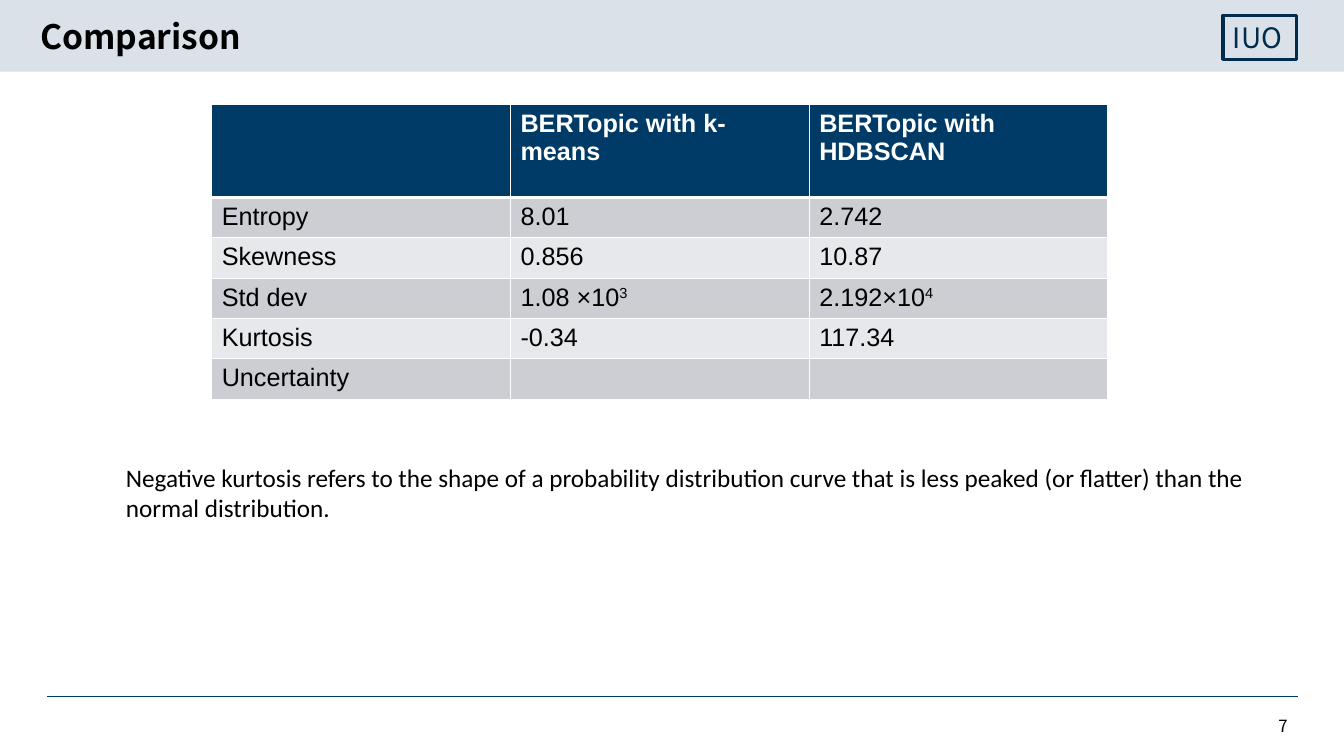
from lxml import etree
from pptx import Presentation
from pptx.dml.color import RGBColor
from pptx.enum.shapes import MSO_CONNECTOR, MSO_SHAPE
from pptx.enum.text import MSO_ANCHOR, PP_ALIGN
from pptx.oxml.ns import qn
from pptx.util import Inches, Pt

STRAIGHT, RECTANGLE = MSO_CONNECTOR.STRAIGHT, MSO_SHAPE.RECTANGLE
TOP, MIDDLE = MSO_ANCHOR.TOP, MSO_ANCHOR.MIDDLE
LEFT, RIGHT = PP_ALIGN.LEFT, PP_ALIGN.RIGHT

WIDTH, HEIGHT = Inches(13.33), Inches(7.5)
TITLE_ONLY = 5

BLACK = RGBColor(0x00, 0x00, 0x00)
WHITE = RGBColor(0xFF, 0xFF, 0xFF)
NAVY = RGBColor(0x00, 0x3B, 0x68)
BADGE_NAVY = RGBColor(0x00, 0x2C, 0x4E)
PALE_BLUE = RGBColor(0xDA, 0xE1, 0xE8)
ROW_FILLS = RGBColor(0xCC, 0xCE, 0xD4), RGBColor(0xE7, 0xE8, 0xEB)

HEADING_FONT, TABLE_FONT, NOTE_FONT = "Noto Sans CJK JP", "Arial", "Calibri"

HEADER = ["", "BERTopic with k-means", "BERTopic with HDBSCAN"]
MEASURES = [
    ["Entropy", "8.01", "2.742"],
    ["Skewness", "0.856", "10.87"],
    ["Std dev", ("1.08 ×10", "3"), ("2.192×10", "4")],
    ["Kurtosis", "-0.34", "117.34"],
    ["Uncertainty", "", ""],
]
NOTE = (
    "Negative kurtosis refers to the shape of a probability distribution curve "
    "that is less peaked (or flatter) than the normal distribution."
)


def across(percent):
    return round(WIDTH * percent / 100)


def down(percent):
    return round(HEIGHT * percent / 100)


def area(left, top, width, height):
    return across(left), down(top), across(width), down(height)


def apply_format(target, values):
    for name, value in values.items():
        setattr(target, name, value)


def add_run(paragraph, text, font, size, color, bold=False):
    run = paragraph.add_run()
    run.text = text
    apply_format(run.font, {"name": font, "size": Pt(size), "bold": bold})
    run.font.color.rgb = color
    return run


def write(frame, text, font, size, color, bold=False, align=LEFT, **frame_format):
    apply_format(frame, {"word_wrap": True, **frame_format})
    paragraph = frame.paragraphs[0]
    paragraph.alignment = align
    add_run(paragraph, text, font, size, color, bold)
    return paragraph


def add_box(slide, place, fill=None, outline=None):
    box = slide.shapes.add_shape(RECTANGLE, *place)
    box.shadow.inherit = False
    if fill is None:
        box.fill.background()
    else:
        box.fill.solid()
        box.fill.fore_color.rgb = fill
    if outline is None:
        box.line.fill.background()
    else:
        box.line.color.rgb = outline
        box.line.width = Pt(2.25)
    return box


def add_rule(slide, left, right, height):
    rule = slide.shapes.add_connector(
        STRAIGHT, across(left), down(height), across(right), down(height))
    rule.line.color.rgb = NAVY
    rule.line.width = Pt(1)
    etree.SubElement(rule._element.spPr, qn("a:effectLst"))


def add_text(slide, place, *content, **options):
    write(slide.shapes.add_textbox(*place).text_frame, *content, **options)


def add_title(slide, text):
    title = slide.shapes.title
    slide.shapes._spTree.append(title._element)
    left, top, width, height = area(2.25, 2.67, 89.8, 4.8)
    apply_format(title, {"left": left, "top": top, "width": width, "height": height})
    paragraph = write(
        title.text_frame, text, HEADING_FONT, 24, BLACK, bold=True,
        vertical_anchor=MIDDLE, margin_top=0, margin_bottom=0)
    paragraph.line_spacing = 0.9


def border_cell(cell, bottom=1, top=1):
    properties = cell._tc.get_or_add_tcPr()
    for side, points in {"L": 1, "R": 1, "T": top, "B": bottom}.items():
        edge = etree.SubElement(properties, qn(f"a:ln{side}"), w=str(Pt(points)))
        fill = etree.SubElement(edge, qn("a:solidFill"))
        etree.SubElement(fill, qn("a:srgbClr"), val=str(WHITE))


def fill_cell(cell, content, fill, color, bold):
    cell.fill.solid()
    cell.fill.fore_color.rgb = fill
    cell.vertical_anchor = TOP
    base, *exponent = content if isinstance(content, tuple) else (content,)
    paragraph = cell.text_frame.paragraphs[0]
    if base:
        add_run(paragraph, base, TABLE_FONT, 18, color, bold)
    for power in exponent:
        raised = add_run(paragraph, power, TABLE_FONT, 18, color, bold)
        raised.font._element.set("baseline", "30000")


def add_comparison(slide):
    rows = [HEADER, *MEASURES]
    heights = [12.27] + [5.33] * len(MEASURES)
    place = area(15.75, 13.87, 66.69, sum(heights))
    table = slide.shapes.add_table(len(rows), len(HEADER), *place).table
    for r, (contents, height) in enumerate(zip(rows, heights)):
        table.rows[r].height = down(height)
        header = r == 0
        fill = NAVY if header else ROW_FILLS[(r - 1) % 2]
        for c, content in enumerate(contents):
            cell = table.cell(r, c)
            border_cell(cell, bottom=3 if header else 1, top=3 if r == 1 else 1)
            fill_cell(cell, content, fill, WHITE if header else BLACK, header)


def main():
    deck = Presentation()
    apply_format(deck, {"slide_width": WIDTH, "slide_height": HEIGHT})
    slide = deck.slides.add_slide(deck.slide_layouts[TITLE_ONLY])

    add_box(slide, area(0, 0, 100, 9.47), fill=PALE_BLUE)
    add_rule(slide, 3.53, 96.55, 92.13)
    badge = add_box(slide, area(91, 2, 5.48, 5.87), outline=BADGE_NAVY)
    write(badge.text_frame, "IUO", HEADING_FONT, 20, BADGE_NAVY,
          word_wrap=False, vertical_anchor=MIDDLE)
    add_text(slide, area(91.37, 93.33, 5.18, 5.33), "7", HEADING_FONT, 12, BLACK,
             align=RIGHT, vertical_anchor=MIDDLE)
    add_title(slide, "Comparison")
    add_comparison(slide)
    add_text(slide, area(8.63, 60.53, 85.67, 9.47), NOTE, NOTE_FONT, 18, BLACK)

    deck.save("out.pptx")


if __name__ == "__main__":
    main()
